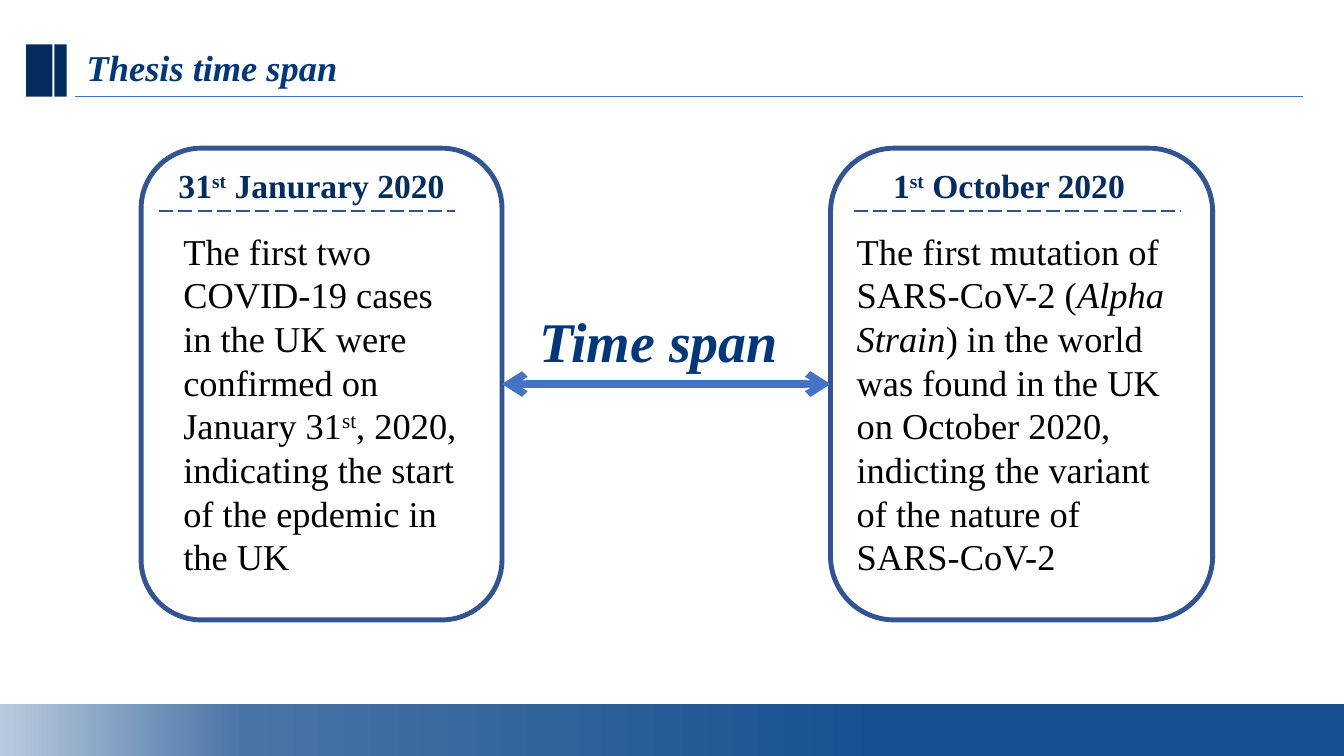
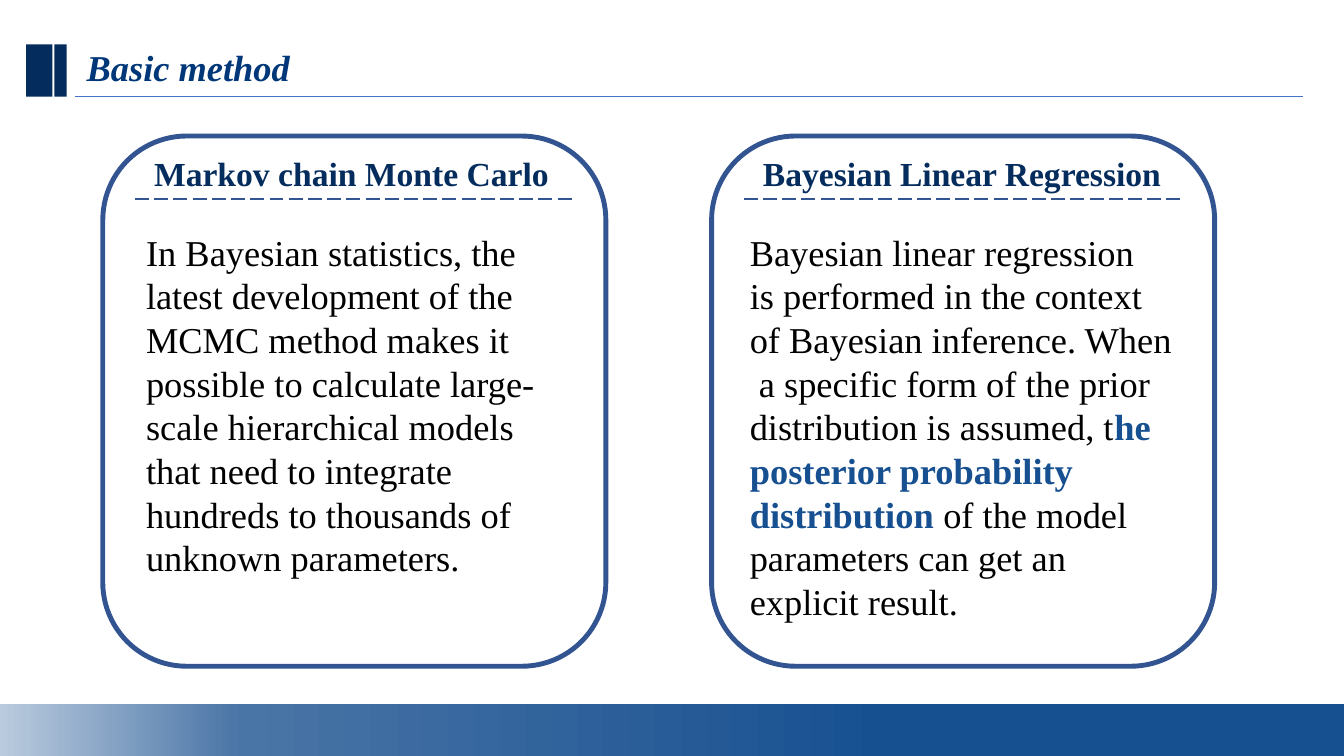
from copy import deepcopy
from dataclasses import dataclass

from lxml.etree import SubElement
from pptx import Presentation
from pptx.dml.color import RGBColor
from pptx.enum.dml import MSO_LINE
from pptx.enum.shapes import MSO_CONNECTOR, MSO_SHAPE
from pptx.enum.text import MSO_ANCHOR, MSO_AUTO_SIZE, PP_ALIGN
from pptx.oxml.ns import qn
from pptx.util import Inches, Pt


@dataclass(frozen=True)
class Theme:
    font: str = "Times New Roman"
    title: str = "003778"
    navy: str = "042C5D"
    outline: str = "325491"
    accent: str = "4472C4"
    emphasis: str = "175091"
    body: str = "000000"
    band: tuple = ((0, "BACBDE"), (0.18, "4974A6"), (0.66, "175091"))
    title_size: int = 26
    heading_size: int = 24
    body_size: int = 26
    span_size: int = 40


THEME = Theme()
WIDTH, HEIGHT = Inches(13.333), Inches(7.5)
NBSP = chr(160)

# Offsets inside a card, in percent of the slide's height
HEADING_DROP, RULE_DROP = 1.6, 8.3


# Lengths are percent of the slide's width and height
def across(share):
    return round(WIDTH * share / 100)


def down(share):
    return round(HEIGHT * share / 100)


def place(left, top, width, height):
    return across(left), down(top), across(width), down(height)


def color(code):
    return RGBColor.from_string(code)


# Text: each run is a string or a (string, changes) pair
def add_runs(paragraph, runs, size, code, bold=False, italic=False):
    for item in runs:
        words, changes = (item, {}) if isinstance(item, str) else item
        run = paragraph.add_run()
        run.text = words
        font = run.font
        font.name, font.size = THEME.font, Pt(size)
        font.bold = changes.get("bold", bold)
        font.italic = changes.get("italic", italic)
        font.color.rgb = color(changes.get("color", code))
        if changes.get("raised"):
            font._element.set("baseline", "30000")


def add_text(slide, box, runs, size, code, align=PP_ALIGN.LEFT, bold=False):
    frame = slide.shapes.add_textbox(*place(*box)).text_frame
    frame.word_wrap = True
    frame.auto_size = MSO_AUTO_SIZE.SHAPE_TO_FIT_TEXT
    paragraph = frame.paragraphs[0]
    paragraph.alignment = align
    add_runs(paragraph, runs, size, code, bold=bold)


def add_label(slide, box, words, size):
    frame = slide.shapes.add_textbox(*place(*box)).text_frame
    frame.word_wrap = True
    frame.vertical_anchor = MSO_ANCHOR.MIDDLE
    frame.margin_left = frame.margin_right = 0
    frame.margin_top = frame.margin_bottom = 0
    paragraph = frame.paragraphs[0]
    paragraph.line_spacing = 0.9
    add_runs(paragraph, [words], size, THEME.title, bold=True, italic=True)


# Lines and blocks
def add_rule(slide, start, end, level, code, weight, dash=None):
    rule = slide.shapes.add_connector(
        MSO_CONNECTOR.STRAIGHT,
        across(start), down(level), across(end), down(level))
    rule.line.color.rgb = color(code)
    rule.line.width = Pt(weight)
    if dash:
        rule.line.dash_style = dash
    SubElement(rule._element.spPr, qn("a:effectLst"))
    return rule


def add_double_arrow(slide, start, end, level):
    arrow = add_rule(slide, start, end, level, THEME.accent, 5.25)
    for tip in ("a:headEnd", "a:tailEnd"):
        SubElement(arrow.line._get_or_add_ln(), qn(tip), type="arrow")


def add_block(slide, box, code=None):
    block = slide.shapes.add_shape(MSO_SHAPE.RECTANGLE, *place(*box))
    block.shadow.inherit = False
    block.line.fill.background()
    if code:
        block.fill.solid()
        block.fill.fore_color.rgb = color(code)
    return block


def add_band(slide):
    fill = add_block(slide, (0, 93.07, 100, 6.93)).fill
    fill.gradient()
    fill.gradient_angle = 0
    first = fill.gradient_stops[0]._gs
    first.addnext(deepcopy(first))
    for stop, (position, code) in zip(fill.gradient_stops, THEME.band):
        stop.position = position
        stop.color.rgb = color(code)


# Slide with title, marks, rule and bottom band
def add_titled_slide(deck, title):
    slide = deck.slides.add_slide(deck.slide_layouts[6])
    add_label(slide, (6.45, 6.8, 60, 4.93), title, THEME.title_size)
    for left, width in ((1.95, 1.95), (4.05, 0.9)):
        add_block(slide, (left, 5.87, width, 6.93), THEME.navy)
    add_rule(slide, 5.55, 96.98, 12.8, THEME.accent, 0.5)
    add_band(slide)
    return slide


# Rounded card: heading, body and rule are (left, width) pairs
def add_card(slide, outline, heading, rule, body, body_top,
             heading_runs, body_runs, align=PP_ALIGN.LEFT):
    top = outline[1]
    card = slide.shapes.add_shape(MSO_SHAPE.ROUNDED_RECTANGLE, *place(*outline))
    card.shadow.inherit = False
    card.fill.background()
    card.line.color.rgb = color(THEME.outline)
    card.line.width = Pt(3.5)
    add_text(slide, (heading[0], top + HEADING_DROP, heading[1], 6.67),
             heading_runs, THEME.heading_size, THEME.navy, align, bold=True)
    add_rule(slide, rule[0], sum(rule), top + RULE_DROP,
             THEME.outline, 1.25, MSO_LINE.LONG_DASH)
    add_text(slide, (body[0], body_top, body[1], 48),
             body_runs, THEME.body_size, THEME.body)


def build_time_span(deck):
    slide = add_titled_slide(deck, "Thesis time span")
    ordinal = ("st", {"raised": True})
    start_card = (10.5, 19.6, 26.85, 62.4)
    end_card = (61.8, 19.6, 28.43, 62.4)
    add_card(slide, start_card, (7.58, 31.2), (11.85, 21.98), (12.9, 21.98),
             29.6, ["31", ordinal, " Janurary 2020"],
             ["The first two COVID-19 cases in the UK were confirmed on "
              "January 31", ordinal,
              ", 2020, indicating the start of the epdemic in the UK"],
             PP_ALIGN.CENTER)
    add_card(slide, end_card, (63, 24.15), (63.53, 24.3), (63, 24.83),
             29.6, ["1", ordinal, " October 2020"],
             ["The first mutation of SARS-CoV-2 (",
              ("Alpha Strain", {"italic": True}),
              ") in the world was found in the UK on October 2020, "
              "indicting the variant of the nature of SARS-CoV-2"],
             PP_ALIGN.CENTER)
    middle = start_card[1] + start_card[3] / 2
    add_double_arrow(slide, start_card[0] + start_card[2], end_card[0], middle)
    add_label(slide, (40.13, 43.07, 19.65, 4.93), "Time span", THEME.span_size)


def build_basic_method(deck):
    slide = add_titled_slide(deck, "Basic method")
    methods = (
        ("Markov chain Monte Carlo", (10.13, 32.48),
         ["In Bayesian statistics, the latest development of the MCMC method "
          "makes it possible to calculate large-scale hierarchical models "
          "that need to integrate hundreds to thousands of unknown "
          "parameters."]),
        ("Bayesian Linear Regression", (55.05, 33.15),
         [f"Bayesian linear regression{NBSP} is performed in the context of "
          f"Bayesian inference. When {NBSP}a specific form of the prior "
          "distribution is assumed, t",
          ("he posterior probability distribution",
           {"bold": True, "color": THEME.emphasis}),
          " of the model parameters can get an explicit result."]),
    )
    for column, (heading, body, body_runs) in enumerate(methods):
        shift = column * 45.3
        add_card(slide, (7.65 + shift, 18, 37.43, 70.13),
                 (10.73 + shift, 31.2), (10.05 + shift, 32.55), body,
                 29.73, [heading], body_runs)


def main():
    deck = Presentation()
    deck.slide_width, deck.slide_height = WIDTH, HEIGHT
    build_time_span(deck)
    build_basic_method(deck)
    deck.save("out.pptx")


if __name__ == "__main__":
    main()
